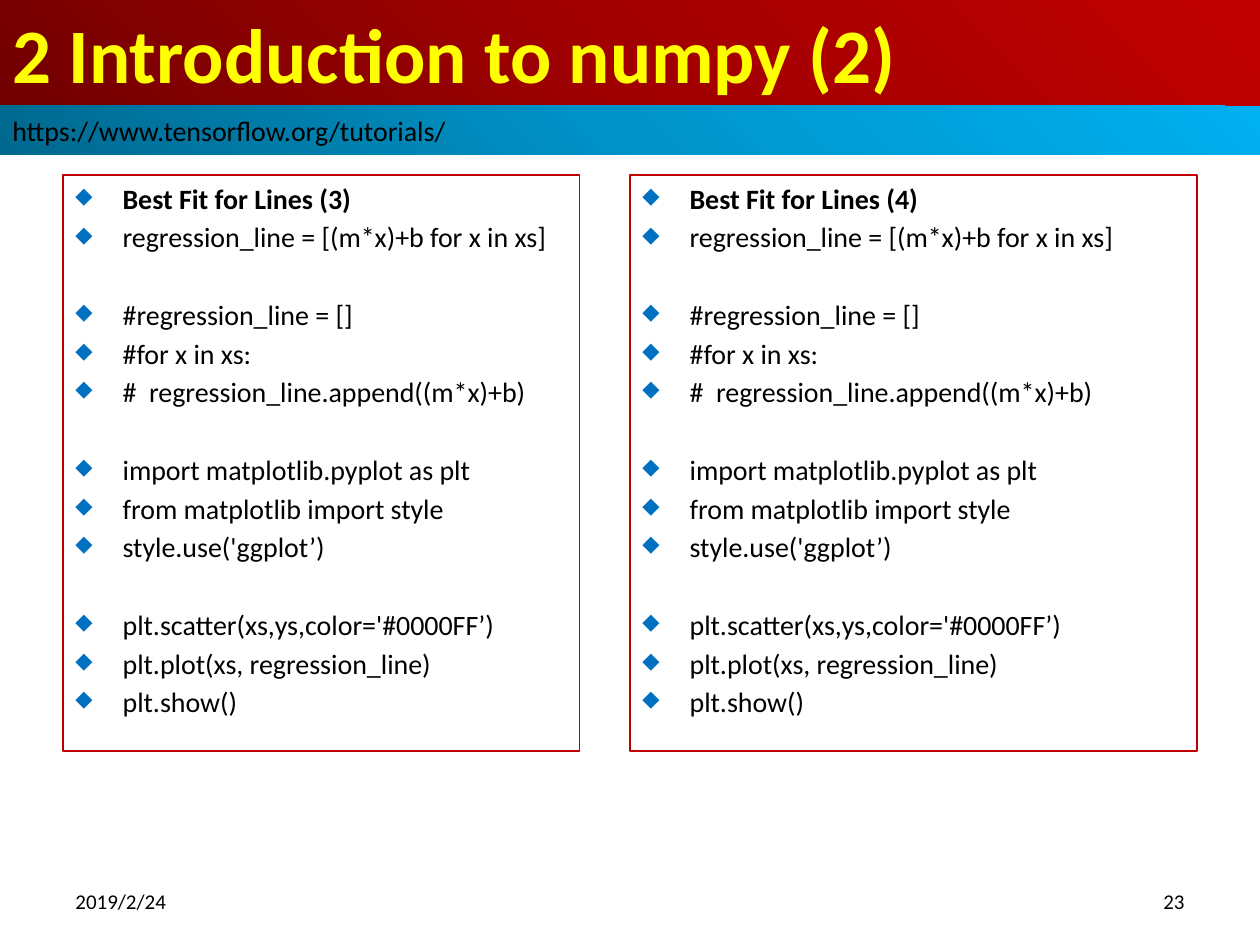
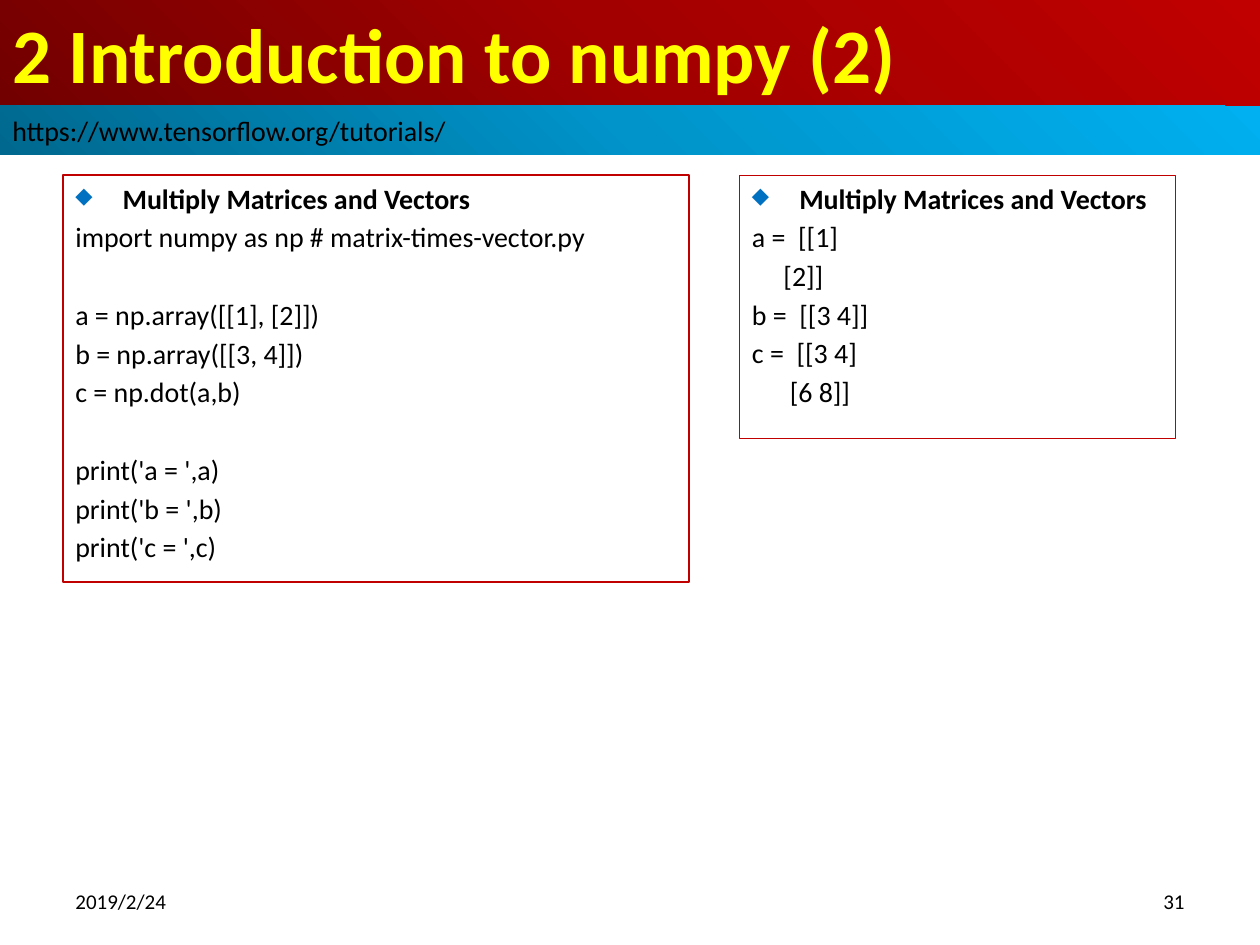
from dataclasses import dataclass

import pptx
import pptx.dml.color
import pptx.enum.shapes
import pptx.enum.text
import pptx.oxml
import pptx.oxml.ns
import pptx.oxml.xmlchemy
import pptx.shapes.autoshape
import pptx.slide
import pptx.text.text
import pptx.util
from lxml import etree

Pt = pptx.util.Pt
qn = pptx.oxml.ns.qn
Align = pptx.enum.text.PP_ALIGN
Anchor = pptx.enum.text.MSO_ANCHOR


# Shared look
@dataclass(frozen=True)
class Theme:
    font: str = "Calibri"
    text: str = "000000"
    title: str = "FFFF00"
    panel_line: str = "C00000"
    bullet: str = "0070C0"
    title_band: tuple[str, ...] = ("720000", "A20000", "C00000")
    source_band: tuple[str, ...] = ("00688E", "0094CA", "00B0F0")
    title_size: float = 44
    body_size: float = 16
    footer_size: float = 12
    line_gap: float = 2.87
    group_gap: float = 25.27  # one empty line plus the usual gap
    bullet_indent: float = 27


@dataclass(frozen=True)
class Box:
    left: float
    top: float
    width: float
    height: float

    def lengths(self) -> tuple[int, ...]:
        return tuple(Pt(v) for v in (self.left, self.top, self.width, self.height))


@dataclass(frozen=True)
class Panel:
    box: Box
    heading: str
    groups: tuple[tuple[str, ...], ...]  # groups stand one empty line apart
    bulleted: bool = False


@dataclass(frozen=True)
class Page:
    number: str
    panels: tuple[Panel, ...]


THEME = Theme()
SLIDE_WIDTH, SLIDE_HEIGHT = 720, 540
MARGIN = 36
PANEL_TOP = 100.08
FOOTER_WIDTH = 168
TITLE_BOX = Box(0, 0, SLIDE_WIDTH, 60.48)
SOURCE_BOX = Box(0, TITLE_BOX.height, SLIDE_WIDTH, 28.08)
DATE_BOX = Box(MARGIN, 500.4, FOOTER_WIDTH, 28.8)
NUMBER_BOX = Box(SLIDE_WIDTH - MARGIN - FOOTER_WIDTH, 500.4, FOOTER_WIDTH, 28.8)

# Content
TITLE = "2 Introduction to numpy (2)"
SOURCE = "https://www.tensorflow.org/tutorials/"
DATE = "2019/2/24"

BEST_FIT_CODE = (
    ("regression_line = [(m*x)+b for x in xs]",),
    ("#regression_line = []", "#for x in xs:", "#  regression_line.append((m*x)+b)"),
    ("import matplotlib.pyplot as plt", "from matplotlib import style",
     "style.use('ggplot’)"),
    ("plt.scatter(xs,ys,color='#0000FF’)", "plt.plot(xs, regression_line)",
     "plt.show()"),
)
MATRIX_CODE = (
    ("import numpy as np # matrix-times-vector.py",),
    ("a = np.array([[1], [2]])", "b = np.array([[3, 4]])", "c = np.dot(a,b)"),
    ("print('a = ',a)", "print('b = ',b)", "print('c = ',c)"),
)
MATRIX_OUTPUT = (
    ("a =  [[1]", "     [2]]", "b =  [[3 4]]", "c =  [[3 4]", "      [6 8]]"),
)

PAGES = (
    Page("23", (
        Panel(Box(MARGIN, PANEL_TOP, 295.2, 329.04), "Best Fit for Lines (3)",
              BEST_FIT_CODE, bulleted=True),
        Panel(Box(360, PANEL_TOP, 324, 329.04), "Best Fit for Lines (4)",
              BEST_FIT_CODE, bulleted=True),
    )),
    Page("31", (
        Panel(Box(MARGIN, PANEL_TOP, 357.84, 232.56), "Multiply Matrices and Vectors",
              MATRIX_CODE),
        Panel(Box(422.64, PANEL_TOP, 249.12, 150.48), "Multiply Matrices and Vectors",
              MATRIX_OUTPUT),
    )),
)


# Drawing helpers
def rgb(value: str) -> pptx.dml.color.RGBColor:
    return pptx.dml.color.RGBColor.from_string(value)


def add_bullet(paragraph: pptx.text.text._Paragraph) -> None:
    properties = paragraph._p.get_or_add_pPr()
    properties.set("marL", str(Pt(THEME.bullet_indent)))
    properties.set("indent", str(-Pt(THEME.bullet_indent)))
    color = etree.SubElement(properties, qn("a:buClr"))
    etree.SubElement(color, qn("a:srgbClr"), val=THEME.bullet)
    etree.SubElement(properties, qn("a:buSzPct"), val="80000")
    etree.SubElement(properties, qn("a:buChar"), char="◆")


def write(frame: pptx.text.text.TextFrame, text: str, *, size: float = THEME.body_size,
          color: str = THEME.text, bold: bool = False, bullet: bool = False,
          before: float = 0, align: Align = Align.LEFT) -> None:
    """Fill the empty first paragraph, or add one below the others."""
    first = frame.paragraphs[0]
    paragraph = frame.add_paragraph() if first.runs else first
    if bullet:
        add_bullet(paragraph)
    paragraph.alignment = align
    if before:
        paragraph.space_before = Pt(before)
    run = paragraph.add_run()
    run.text = text
    run.font.name = THEME.font
    run.font.size = Pt(size)
    run.font.bold = bold
    run.font.color.rgb = rgb(color)


def add_rectangle(slide: pptx.slide.Slide, box: Box,
                  anchor: Anchor) -> pptx.shapes.autoshape.Shape:
    shape = slide.shapes.add_shape(
        pptx.enum.shapes.MSO_SHAPE.RECTANGLE, *box.lengths())
    shape.shadow.inherit = False
    shape.text_frame.word_wrap = True
    shape.text_frame.vertical_anchor = anchor
    return shape


def add_band(slide: pptx.slide.Slide, box: Box,
             colors: tuple[str, ...]) -> pptx.text.text.TextFrame:
    """A band whose gradient spreads from its lower left corner."""
    band = add_rectangle(slide, box, Anchor.MIDDLE)
    band.line.fill.background()
    band.fill.gradient()
    gradient = band._element.spPr.find(qn("a:gradFill"))
    for child in list(gradient):
        gradient.remove(child)
    stops = etree.SubElement(gradient, qn("a:gsLst"))
    for index, color in enumerate(colors):
        position = 100000 * index // (len(colors) - 1)
        stop = etree.SubElement(stops, qn("a:gs"), pos=str(position))
        etree.SubElement(stop, qn("a:srgbClr"), val=color)
    circle = etree.SubElement(gradient, qn("a:path"), path="circle")
    etree.SubElement(circle, qn("a:fillToRect"), t="100000", r="100000")
    return band.text_frame


def add_panel(slide: pptx.slide.Slide, panel: Panel) -> None:
    outline = add_rectangle(slide, panel.box, Anchor.TOP)
    outline.fill.background()
    outline.line.color.rgb = rgb(THEME.panel_line)
    outline.line.width = Pt(0.75)
    frame = outline.text_frame
    write(frame, panel.heading, bold=True, bullet=True)
    for group_index, group in enumerate(panel.groups):
        for line_index, line in enumerate(group):
            opens_group = group_index > 0 and line_index == 0
            write(frame, line, bullet=panel.bulleted,
                  before=THEME.group_gap if opens_group else THEME.line_gap)


def add_footer(slide: pptx.slide.Slide, box: Box, text: str, align: Align) -> None:
    frame = slide.shapes.add_textbox(*box.lengths()).text_frame
    frame.word_wrap = True
    frame.vertical_anchor = Anchor.MIDDLE
    write(frame, text, size=THEME.footer_size, align=align)


def add_page(deck: pptx.presentation.Presentation, page: Page) -> None:
    slide = deck.slides.add_slide(deck.slide_layouts[6])
    # Title and source bands
    write(add_band(slide, TITLE_BOX, THEME.title_band), TITLE,
          size=THEME.title_size, color=THEME.title, bold=True)
    write(add_band(slide, SOURCE_BOX, THEME.source_band), SOURCE)
    # Code panels
    for panel in page.panels:
        add_panel(slide, panel)
    # Footer
    add_footer(slide, DATE_BOX, DATE, Align.LEFT)
    add_footer(slide, NUMBER_BOX, page.number, Align.RIGHT)


def main() -> None:
    deck = pptx.Presentation()
    deck.slide_width, deck.slide_height = Pt(SLIDE_WIDTH), Pt(SLIDE_HEIGHT)
    for page in PAGES:
        add_page(deck, page)
    deck.save("out.pptx")


if __name__ == "__main__":
    main()
